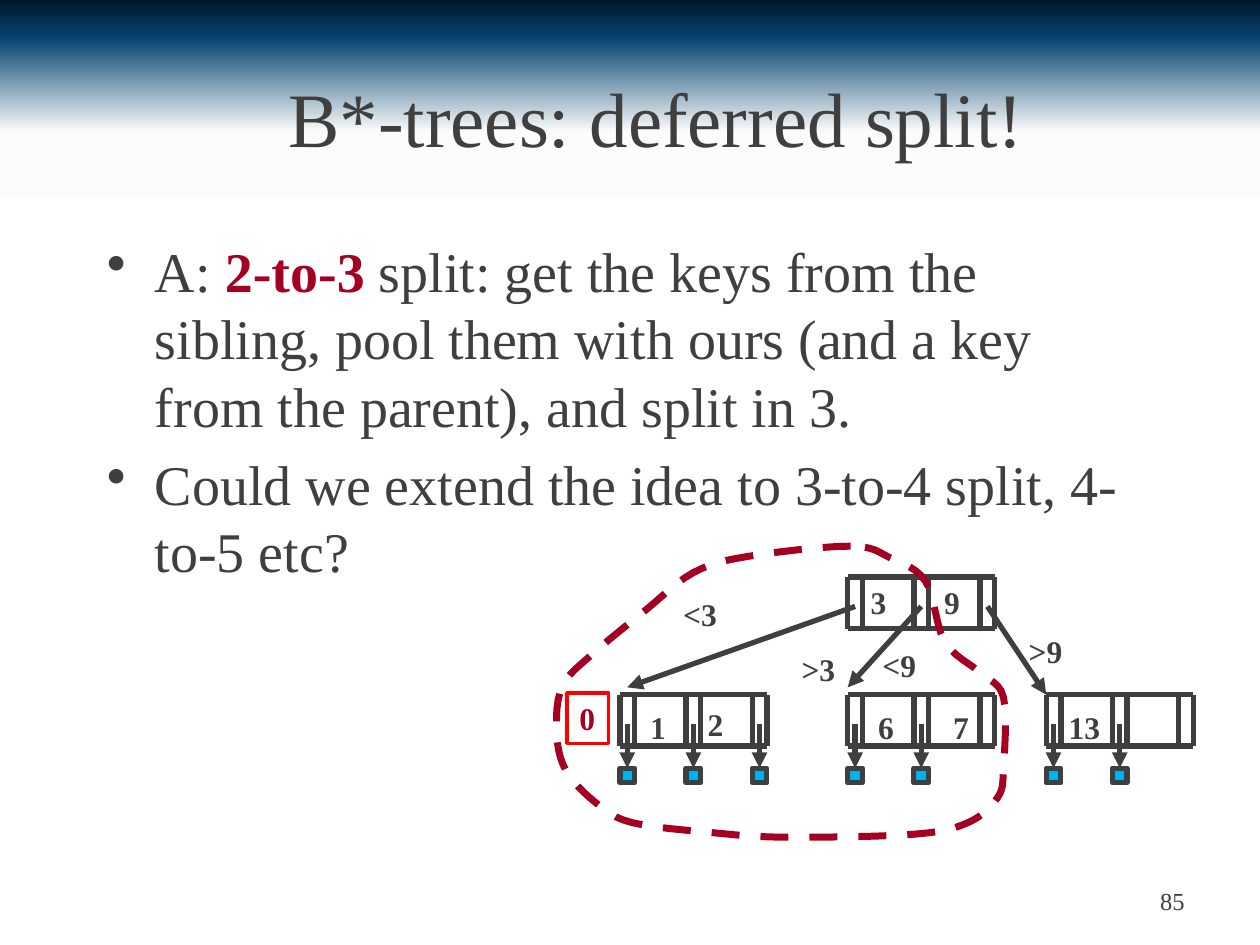
import dataclasses
import lxml.etree
import pptx
import pptx.dml.color
import pptx.enum.dml
import pptx.enum.shapes
import pptx.enum.text
import pptx.oxml.ns
import pptx.util

FONT = "Times New Roman"
GREY, CRIMSON, RED, BLUE = "3F3F3F", "A50021", "FF0000", "00B0F0"
ALIGN = pptx.enum.text.PP_ALIGN
ANCHOR = pptx.enum.text.MSO_ANCHOR
Point = tuple[float, float]
inches = pptx.util.Inches
qn = pptx.oxml.ns.qn

# The tree stands on a square grid: every length in it is a count of units
UNIT = 7 / 60
TREE_LEFT, TREE_TOP = 4.92, 4.58
NODE_WIDTH, NODE_HEIGHT = 10, 3.5
KEY_PITCH = 4.5  # from one pointer slot to the next
POINTER_X, POINTER_Y = 0.5, 2  # where a pointer starts inside its slot
RECORD_DROP = 5  # from the top of a leaf to its records
LABEL_WIDTH = 4.5
LEAF_ROW = 8


@dataclasses.dataclass
class Label:
    text: str
    center: float
    top: float


@dataclasses.dataclass
class Node:
    column: float
    row: float
    keys: list[Label]  # placed relative to the node
    records: int = 0


@dataclasses.dataclass
class Edge:
    slot: int  # pointer slot of the root
    child: Node
    end_x: float  # arrow tip relative to the child's top left corner
    end_y: float


ROOT = Node(15.5, 0, [Label("3", 2.1, 0), Label("9", 7.1, 0)])
LEFT_LEAF = Node(0, LEAF_ROW, [Label("1", 2.6, 0.5), Label("2", 6.5, 0.3)], records=3)
MIDDLE_LEAF = Node(15.5, LEAF_ROW, [Label("6", 2.6, 0.5), Label("7", 7.7, 0.5)], records=2)
RIGHT_LEAF = Node(29, LEAF_ROW, [Label("13", 2.6, 0.5)], records=2)
NODES = [ROOT, RIGHT_LEAF, MIDDLE_LEAF, LEFT_LEAF]
EDGES = [
    Edge(0, LEFT_LEAF, POINTER_X, -0.5),
    Edge(1, MIDDLE_LEAF, 0, -0.5),
    Edge(2, RIGHT_LEAF, 0, 0),
]
EDGE_LABELS = [Label("<3", 5.45, 0.8), Label(">3", 13.5, 4.55),
               Label("<9", 19, 4.3), Label(">9", 28.95, 3.35)]

# Waypoints of the pool outline, counter-clockwise, by the part they pass
POOL_WAYPOINTS = {
    "above the root": [(15.7, -2.1), (8.7, -1.4), (5, -0.3)],
    "down to the new key": [(1.7, 2.3), (-1.7, 5.1), (-3.9, 7.4)],
    "around the new key": [(-4.3, 10.5), (-3.7, 13.1), (-1.7, 15.3), (0.8, 16.7)],
    "below the records": [(6.4, 17.4), (11.3, 17.7), (20, 17.5), (23.7, 16.7)],
    "right of the middle leaf": [(25.7, 15), (26.1, 13), (26.1, 8.2), (24.5, 6.5)],
    "up through the root": [(22.1, 4.4), (20.8, 0.3), (18.4, -1.3)],
}
CURVE_STEPS = 6  # straight pieces between two waypoints


def color(value: str) -> pptx.dml.color.RGBColor:
    return pptx.dml.color.RGBColor.from_string(value)


def grid_x(column: float) -> int:
    return inches(TREE_LEFT + column * UNIT)


def grid_y(row: float) -> int:
    return inches(TREE_TOP + row * UNIT)


def set_font(font, size: float, value: str, bold: bool = False) -> None:
    font.name, font.size, font.bold = FONT, pptx.util.Pt(size), bold
    font.color.rgb = color(value)


def set_line(line, value: str, width: float) -> None:
    line.color.rgb = color(value)
    line.width = pptx.util.Pt(width)


def write(shape, text: str, size: float, value: str, align, anchor, bold: bool = False) -> None:
    frame = shape.text_frame
    frame.word_wrap = True
    frame.vertical_anchor = anchor
    frame.text = text
    paragraph = frame.paragraphs[0]
    paragraph.alignment = align
    set_font(paragraph.font, size, value, bold)


def add_line(slide, start: Point, end: Point, arrow: bool = False) -> None:
    connector = slide.shapes.add_connector(
        pptx.enum.shapes.MSO_CONNECTOR.STRAIGHT,
        grid_x(start[0]), grid_y(start[1]), grid_x(end[0]), grid_y(end[1]))
    set_line(connector.line, GREY, 3)
    properties = connector._element.spPr
    if arrow:
        lxml.etree.SubElement(properties.find(qn("a:ln")), qn("a:tailEnd"), type="triangle")
    lxml.etree.SubElement(properties, qn("a:effectLst"))


def add_rectangle(slide, left: int, top: int, width: int, height: int):
    shape = slide.shapes.add_shape(
        pptx.enum.shapes.MSO_SHAPE.RECTANGLE, left, top, width, height)
    shape.shadow.inherit = False
    return shape


def draw_node(slide, node: Node) -> None:
    left, top, bottom = node.column, node.row, node.row + NODE_HEIGHT
    for slot in range(3):
        for column in (left + slot * KEY_PITCH, left + slot * KEY_PITCH + 1):
            add_line(slide, (column, top), (column, bottom))
    for row in (top, bottom):
        add_line(slide, (left, row), (left + NODE_WIDTH, row))
    for slot in range(node.records):
        column, record_row = left + slot * KEY_PITCH, top + RECORD_DROP
        pointer = column + POINTER_X
        add_line(slide, (pointer, top + POINTER_Y), (pointer, record_row), arrow=True)
        record = add_rectangle(
            slide, grid_x(column), grid_y(record_row), inches(UNIT), inches(UNIT))
        record.fill.solid()
        record.fill.fore_color.rgb = color(BLUE)
        set_line(record.line, GREY, 3)


def draw_edge(slide, edge: Edge) -> None:
    start = (ROOT.column + edge.slot * KEY_PITCH + POINTER_X, ROOT.row + POINTER_Y)
    end = (edge.child.column + edge.end_x, edge.child.row + edge.end_y)
    add_line(slide, start, end, arrow=True)


def draw_label(slide, label: Label, column: float = 0, row: float = 0) -> None:
    box = slide.shapes.add_textbox(
        grid_x(column + label.center - LABEL_WIDTH / 2), grid_y(row + label.top),
        inches(LABEL_WIDTH * UNIT), inches(0.4))
    write(box, label.text, 18, GREY, ALIGN.CENTER, ANCHOR.TOP, bold=True)


def spline(before: float, start: float, end: float, after: float, t: float) -> float:
    """One coordinate of a Catmull-Rom curve, a share t of the way from start to end."""
    return start + t / 2 * (end - before
                            + t * (2 * before - 5 * start + 4 * end - after)
                            + t * t * (3 * (start - end) + after - before))


def closed_curve(waypoints: list[Point]) -> list[Point]:
    count = len(waypoints)
    points = []
    for index in range(count):
        neighbours = [waypoints[(index + shift) % count] for shift in (-1, 0, 1, 2)]
        xs, ys = zip(*neighbours)
        for step in range(CURVE_STEPS):
            t = step / CURVE_STEPS
            points.append((spline(*xs, t), spline(*ys, t)))
    return points


def draw_pool(slide) -> None:
    waypoints = [point for part in POOL_WAYPOINTS.values() for point in part]
    points = [(grid_x(column), grid_y(row)) for column, row in closed_curve(waypoints)]
    builder = slide.shapes.build_freeform(*points[0])
    builder.add_line_segments(points[1:], close=True)
    pool = builder.convert_to_shape()
    pool.shadow.inherit = False
    pool.fill.background()
    set_line(pool.line, CRIMSON, 4)
    pool.line.dash_style = pptx.enum.dml.MSO_LINE.DASH


def set_background(slide, stops: list[tuple[int, str]]) -> None:
    fill = slide.background.fill
    fill.gradient()
    fill.gradient_angle = 270
    stop_list = slide.element.find(".//" + qn("a:gsLst"))
    for stop in list(stop_list):
        stop_list.remove(stop)
    for percent, value in stops:
        stop = lxml.etree.SubElement(stop_list, qn("a:gs"), pos=str(percent * 1000))
        lxml.etree.SubElement(stop, qn("a:srgbClr"), val=value)


def add_bullets(slide, bullets: list[list[tuple[str, bool]]]) -> None:
    frame = slide.shapes.add_textbox(
        inches(0.75), inches(1.83), inches(8.5), inches(4.5)).text_frame
    frame.word_wrap = True
    for index, runs in enumerate(bullets):
        paragraph = frame.add_paragraph() if index else frame.paragraphs[0]
        properties = paragraph._p.get_or_add_pPr()
        properties.set("marL", str(inches(0.38)))
        properties.set("indent", str(-inches(0.38)))
        lxml.etree.SubElement(properties, qn("a:buChar"), char="•")
        if index:
            paragraph.space_before = pptx.util.Pt(6.4)
        set_font(paragraph.font, 32, GREY)
        for text, strong in runs:
            run = paragraph.add_run()
            run.text = text
            if strong:
                set_font(run.font, 32, CRIMSON, bold=True)


def main() -> None:
    presentation = pptx.Presentation()
    presentation.slide_width, presentation.slide_height = inches(10), inches(7.5)
    slide = presentation.slides.add_slide(presentation.slide_layouts[5])
    set_background(slide, [(0, "011629"), (4, "054470"), (14, "FCFCFC"),
                           (21, "FFFFFF"), (100, "FFFFFF")])

    # Title, bullets and slide number
    title = slide.shapes.title
    title.left, title.top = inches(0.92), inches(0.3)
    title.width, title.height = inches(8.58), inches(1.25)
    write(title, "B*-trees: deferred split!", 44, GREY, ALIGN.CENTER, ANCHOR.MIDDLE)
    add_bullets(slide, [
        [("A: ", False), ("2-to-3 ", True),
         ("split: get the keys from the sibling, pool them with ours "
          "(and a key from the parent), and split in 3.", False)],
        [("Could we extend the idea to 3-to-4 split, 4-to-5 etc?", False)],
    ])
    number = slide.shapes.add_textbox(inches(7.17), inches(6.95), inches(2.33), inches(0.4))
    write(number, "85", 14, GREY, ALIGN.RIGHT, ANCHOR.MIDDLE)

    # Tree
    for node in NODES:
        draw_node(slide, node)
    for edge in EDGES:
        draw_edge(slide, edge)
    for node in NODES:
        for key in node.keys:
            draw_label(slide, key, node.column, node.row)
    for label in EDGE_LABELS:
        draw_label(slide, label)

    # Pooled nodes and the inserted key
    draw_pool(slide)
    new_key = add_rectangle(slide, inches(4.5), inches(5.5), inches(0.33), inches(0.4))
    new_key.fill.background()
    set_line(new_key.line, RED, 2)
    write(new_key, "0", 18, CRIMSON, ALIGN.LEFT, ANCHOR.TOP, bold=True)

    presentation.save("out.pptx")


if __name__ == "__main__":
    main()
